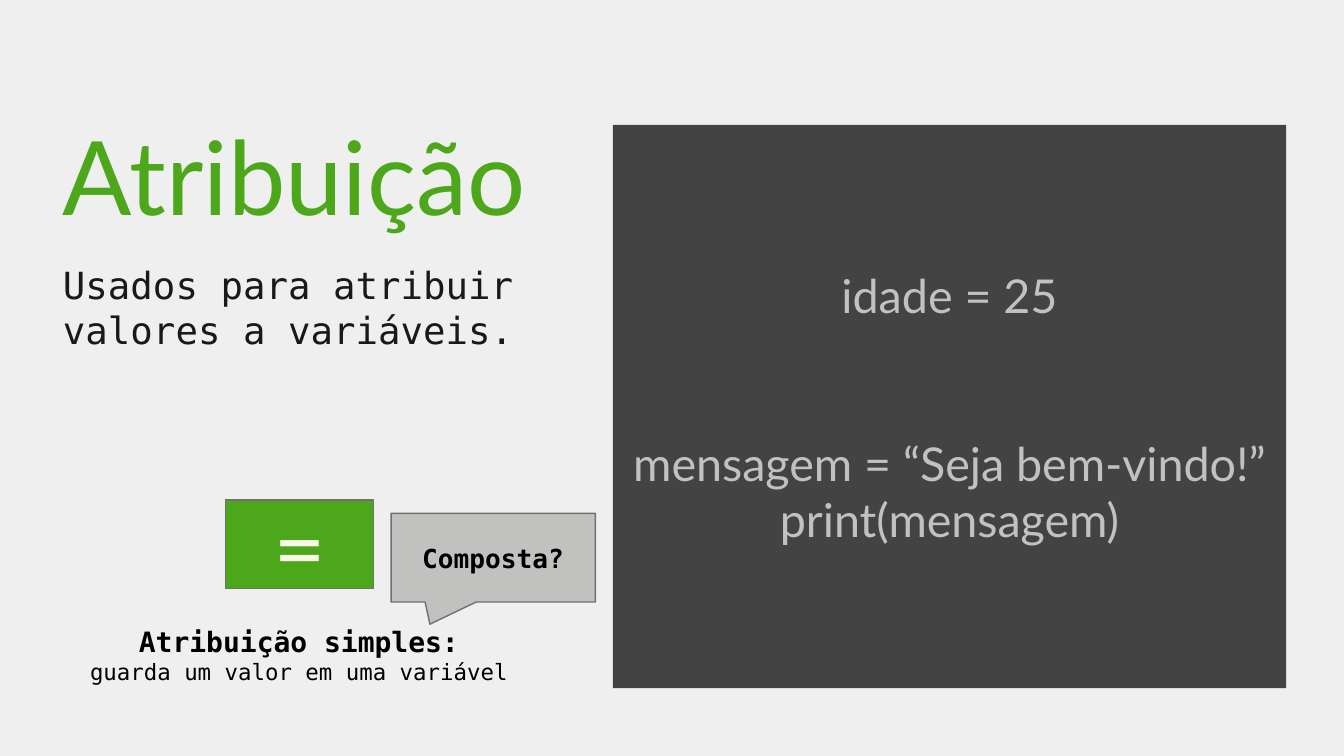
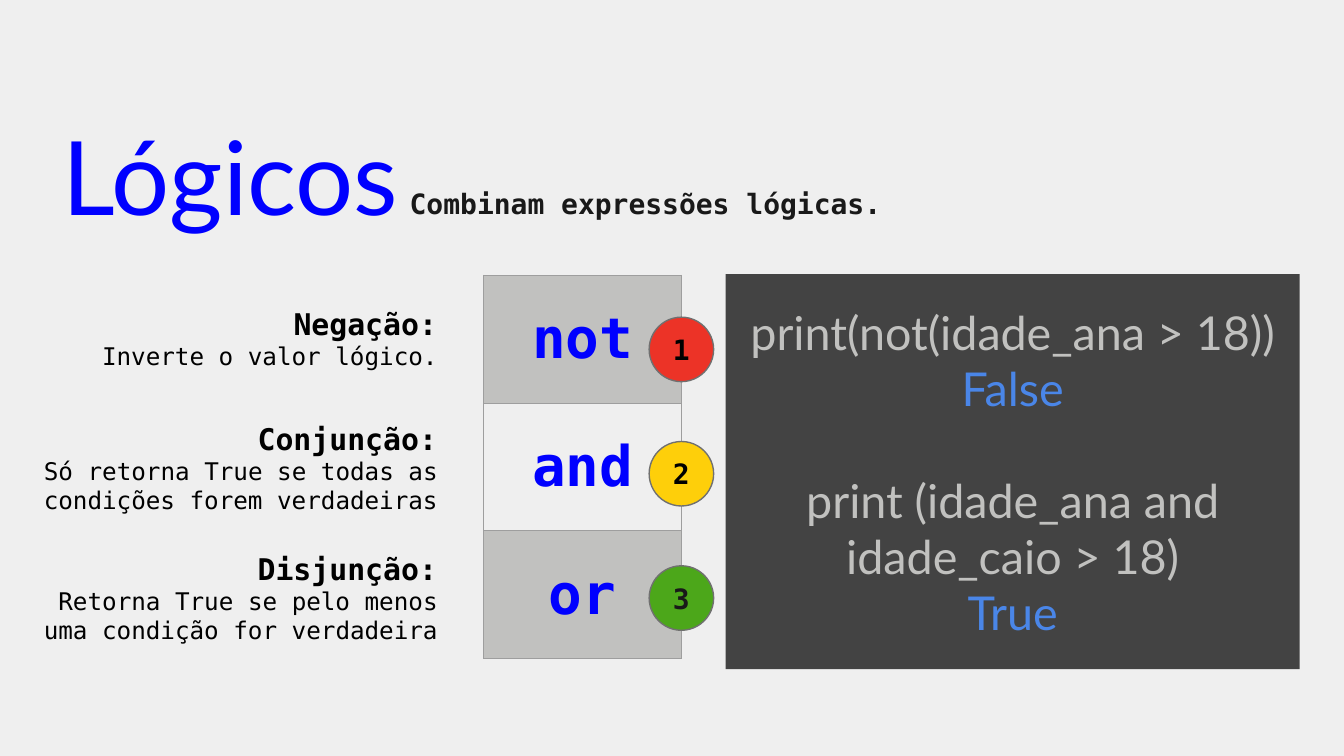
from lxml import etree
from pptx import Presentation
from pptx.dml.color import RGBColor
from pptx.enum import shapes, text
from pptx.oxml import ns
from pptx.util import Inches, Pt

BACKGROUND = RGBColor(0xEF, 0xEF, 0xEF)
PANEL = RGBColor(0x43, 0x43, 0x43)
SILVER = RGBColor(0xC1, 0xC1, 0xBF)
OUTLINE = RGBColor(0x70, 0x70, 0x70)
BORDER = RGBColor(0x9E, 0x9E, 0x9E)
GREEN = RGBColor(0x4C, 0xA7, 0x1A)
BLUE = RGBColor(0x00, 0x00, 0xFF)
SKY = RGBColor(0x4A, 0x86, 0xE8)
RED = RGBColor(0xEC, 0x33, 0x27)
YELLOW = RGBColor(0xFE, 0xCF, 0x0A)
CREAM = RGBColor(0xFA, 0xF6, 0xE7)
INK = RGBColor(0x19, 0x19, 0x19)
BLACK = RGBColor(0x00, 0x00, 0x00)
SANS = "Lato"
MONO = "DejaVu Sans Mono"
LEFT, CENTER, RIGHT = text.PP_ALIGN.LEFT, text.PP_ALIGN.CENTER, text.PP_ALIGN.RIGHT
TOP, MIDDLE, BOTTOM = text.MSO_ANCHOR.TOP, text.MSO_ANCHOR.MIDDLE, text.MSO_ANCHOR.BOTTOM
SHAPE = shapes.MSO_SHAPE


def write(frame, words, size, color=BLACK, font=MONO, bold=False, align=CENTER, before=0):
    """Add one formatted paragraph to a text frame."""
    paragraph = frame.paragraphs[0]
    if paragraph.runs:
        paragraph = frame.add_paragraph()
    paragraph.alignment = align
    if before:
        paragraph.space_before = Pt(before)
    run = paragraph.add_run()
    run.text = words
    run.font.name = font
    run.font.size = Pt(size)
    run.font.bold = bold
    run.font.color.rgb = color


class Deck:
    """Holds the shared style and the current slide."""

    def __init__(self):
        self.presentation = Presentation()
        self.presentation.slide_width = Inches(10)
        self.presentation.slide_height = Inches(10 * 9 / 16)
        self.slide = None

    def new_slide(self, title, color):
        self.slide = self.presentation.slides.add_slide(self.presentation.slide_layouts[6])
        self.slide.background.fill.solid()
        self.slide.background.fill.fore_color.rgb = BACKGROUND
        frame = self.text_box(0.37, 0.74, 3.71, 1.04, anchor=TOP)
        write(frame, title, 55, color, SANS, align=LEFT)

    def frame(self, shape, anchor):
        frame = shape.text_frame
        frame.word_wrap = True
        frame.vertical_anchor = anchor
        frame.margin_left = frame.margin_right = Inches(0.1)
        frame.margin_top = frame.margin_bottom = Inches(0.1)
        return frame

    def text_box(self, *place, anchor=MIDDLE):
        return self.frame(self.slide.shapes.add_textbox(*map(Inches, place)), anchor)

    def shape(self, kind, *place, fill, outlined=True, adjustments=()):
        shape = self.slide.shapes.add_shape(kind, *map(Inches, place))
        shape.shadow.inherit = False
        for index, value in enumerate(adjustments):
            shape.adjustments[index] = value
        shape.fill.solid()
        shape.fill.fore_color.rgb = fill
        if outlined:
            shape.line.color.rgb = OUTLINE
            shape.line.width = Pt(0.75)
        else:
            shape.line.fill.background()
        return self.frame(shape, MIDDLE)

    def code_panel(self, *place, lines):
        frame = self.shape(SHAPE.RECTANGLE, *place, fill=PANEL, outlined=False)
        for words, color, before in lines:
            write(frame, words, 25, color, SANS, before=before)

    def definition(self, *place, term, meaning, sizes, align):
        frame = self.text_box(*place)
        write(frame, term, sizes[0], bold=True, align=align)
        write(frame, meaning, sizes[1], align=align)

    def operator_table(self, left, top, width, row_height, operators):
        table = self.slide.shapes.add_table(
            len(operators), 1, Inches(left), Inches(top),
            Inches(width), Inches(row_height * len(operators))).table
        table.first_row = table.horz_banding = False
        for index, operator in enumerate(operators):
            table.rows[index].height = Inches(row_height)
            cell = table.cell(index, 0)
            self.cell_border(cell)
            cell.fill.solid()
            cell.fill.fore_color.rgb = BACKGROUND if index % 2 else SILVER
            cell.vertical_anchor = MIDDLE
            cell.margin_left = cell.margin_right = Inches(0.1)
            cell.margin_top = cell.margin_bottom = Inches(0.1)
            write(cell.text_frame, operator, 30, BLUE, bold=True)

    def cell_border(self, cell):
        properties = cell._tc.get_or_add_tcPr()
        for side in ("a:lnL", "a:lnR", "a:lnT", "a:lnB"):
            line = etree.SubElement(properties, ns.qn(side), w=str(Pt(0.75)))
            fill = etree.SubElement(line, ns.qn("a:solidFill"))
            etree.SubElement(fill, ns.qn("a:srgbClr"), val=str(BORDER))


def assignment_slide(deck):
    deck.new_slide("Atribuição", GREEN)
    subtitle = deck.text_box(0.37, 1.85, 3.71, 1.66, anchor=TOP)
    write(subtitle, "Usados para atribuir valores a variáveis.", 20, INK, align=LEFT)
    deck.definition(0.37, 4.48, 3.71, 0.78, term="Atribuição simples:",
                    meaning="guarda um valor em uma variável", sizes=(15, 12), align=CENTER)
    equals = deck.shape(SHAPE.RECTANGLE, 1.68, 3.72, 1.1, 0.66, fill=GREEN)
    write(equals, "=", 40, CREAM)
    deck.code_panel(4.56, 0.93, 5.01, 4.19, lines=[
        ("idade = 25", SILVER, 0),
        ("mensagem = “Seja bem-vindo!”", SILVER, 60),
        ("print(mensagem)", SILVER, 0),
    ])
    callout = deck.shape(SHAPE.ROUNDED_RECTANGULAR_CALLOUT, 2.91, 3.82, 1.52, 0.66,
                         fill=SILVER, adjustments=(-0.31, 0.75, 0))
    write(callout, "Composta?", 14, bold=True)


def logic_slide(deck):
    deck.new_slide("Lógicos", BLUE)
    deck.operator_table(3.6, 2.05, 1.47, 0.95, ["not", "and", "or"])
    subtitle = deck.text_box(2.95, 0.74, 3.97, 1, anchor=BOTTOM)
    write(subtitle, "Combinam expressões lógicas.", 15, INK, bold=True, align=LEFT)
    deck.code_panel(5.4, 2.04, 4.27, 2.94, lines=[
        ("print(not(idade_ana > 18))", SILVER, 0),
        ("False", SKY, 0),
        ("print (idade_ana and idade_caio > 18)", SILVER, 30),
        ("True", SKY, 0),
    ])
    operators = [
        ("Negação:", "Inverte o valor lógico.", RED, BLACK),
        ("Conjunção:", "Só retorna True se todas as condições forem verdadeiras", YELLOW, BLACK),
        ("Disjunção:", "Retorna True se pelo menos uma condição for verdadeira", GREEN, INK),
    ]
    for index, (term, meaning, fill, color) in enumerate(operators):
        deck.definition(0.17, 2.04 + 1.93 / 2 * index, 3.18, 0.95, term=term,
                        meaning=meaning, sizes=(16, 13), align=RIGHT)
        badge = deck.shape(SHAPE.OVAL, 4.83, 2.36 + 1.85 / 2 * index, 0.48, 0.48, fill=fill)
        write(badge, str(index + 1), 15, color, bold=True)


def main():
    deck = Deck()
    assignment_slide(deck)
    logic_slide(deck)
    deck.presentation.save("out.pptx")


if __name__ == "__main__":
    main()
